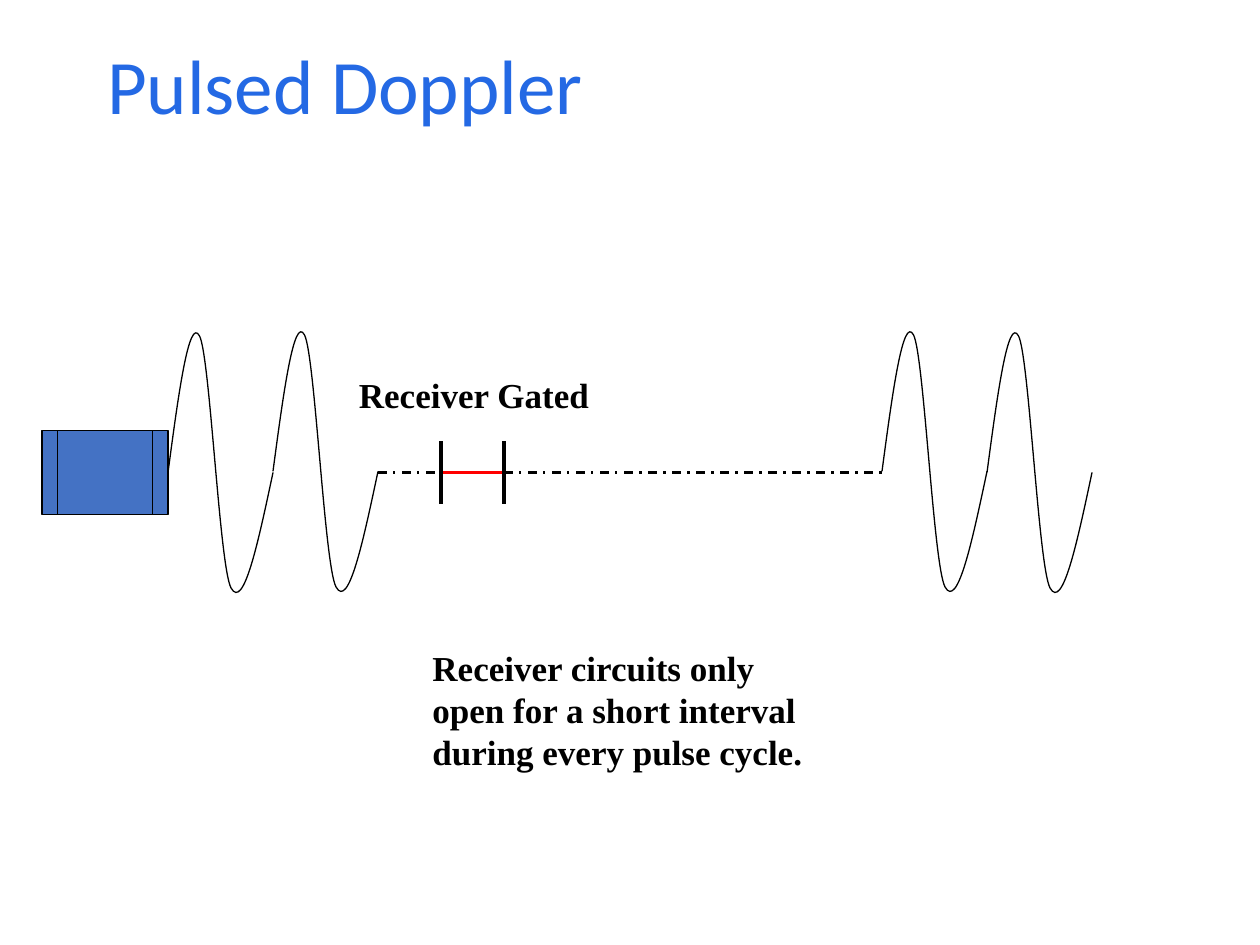
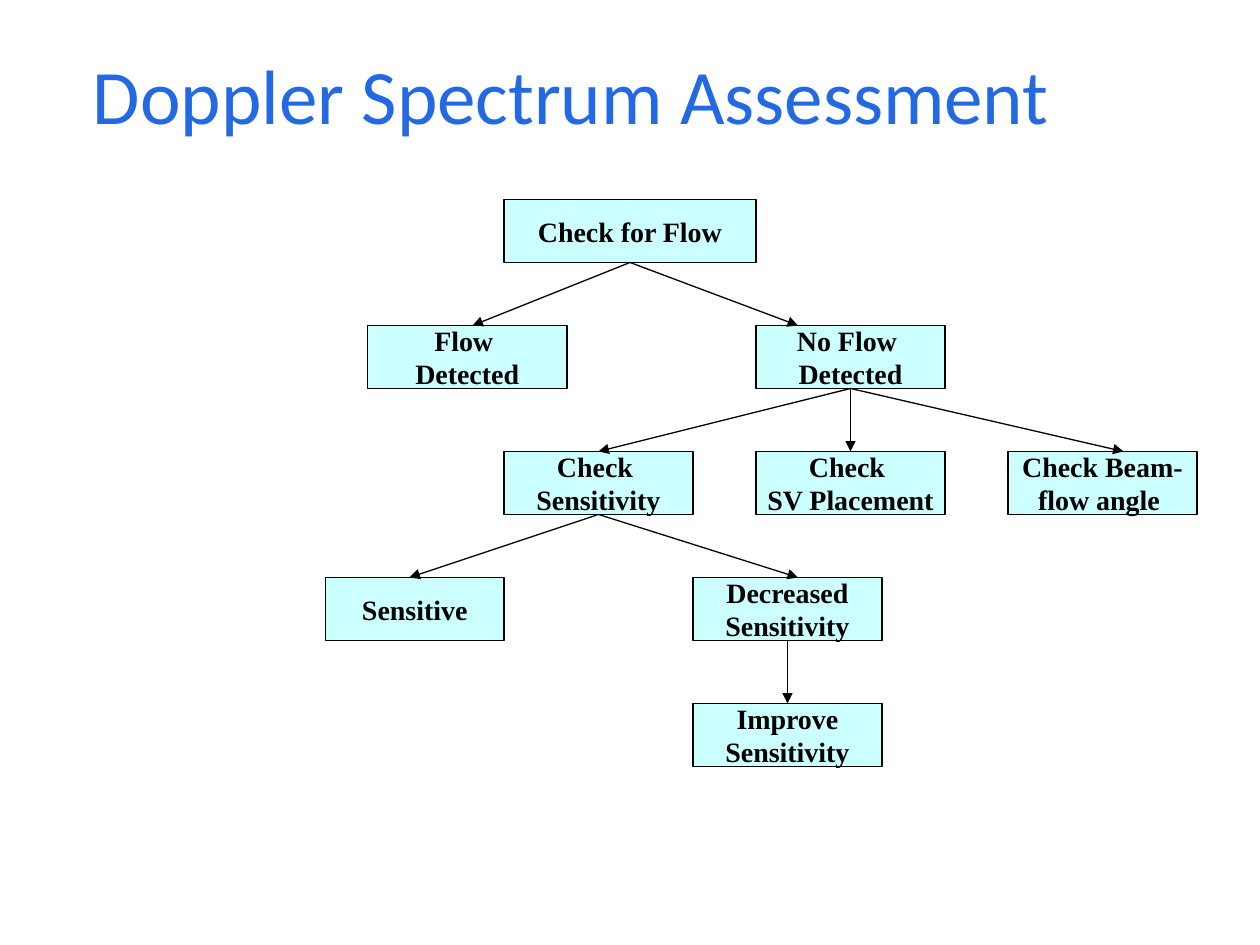
from pptx import Presentation
from pptx.dml.color import RGBColor
from pptx.enum.dml import MSO_LINE
from pptx.enum.shapes import MSO_CONNECTOR, MSO_SHAPE
from pptx.enum.text import MSO_ANCHOR, MSO_AUTO_SIZE, PP_ALIGN
from pptx.oxml.ns import qn
from pptx.util import Inches, Pt
from lxml.etree import SubElement

BLUE = RGBColor(0x24, 0x69, 0xE4)
STEEL = RGBColor(0x44, 0x72, 0xC4)
AQUA = RGBColor(0xCC, 0xFF, 0xFF)
RED = RGBColor(0xFF, 0, 0)
BLACK = RGBColor(0, 0, 0)

deck = Presentation()
deck.slide_width = Inches(10)
deck.slide_height = Inches(7.5)
CELL = deck.slide_width // 120


def style(frame, size, face, tint, bold, align):
    for para in frame.paragraphs:
        para.alignment = align
        for run in para.runs:
            run.font.size = Pt(size)
            run.font.name = face
            run.font.color.rgb = tint
            run.font.bold = bold


def link(slide, ends, width, tint=BLACK):
    line = slide.shapes.add_connector(
        MSO_CONNECTOR.STRAIGHT, *[end * CELL for end in ends])
    line.line.width = Pt(width)
    line.line.color.rgb = tint
    SubElement(line._element.spPr, qn("a:effectLst"))
    return line


slides = []
for text, *area in [("Pulsed Doppler", 9, 2, 105, 13),
                    (" Doppler Spectrum Assessment", 6, 4, 108, 11)]:
    slide = deck.slides.add_slide(deck.slide_layouts[5])
    title = slide.shapes.title
    title.left, title.top, title.width, title.height = [n * CELL for n in area]
    frame = title.text_frame
    frame.text = text
    frame.vertical_anchor = MSO_ANCHOR.MIDDLE
    frame.paragraphs[0].line_spacing = 0.9
    style(frame, 44, "Calibri", BLUE, False, PP_ALIGN.LEFT)
    slides.append(slide)
pulse, tree = slides

probe = pulse.shapes.add_shape(
    MSO_SHAPE.FLOWCHART_PREDEFINED_PROCESS, 4 * CELL, 41 * CELL, 12 * CELL, 8 * CELL)
probe.shadow.inherit = False
probe.fill.solid()
probe.fill.fore_color.rgb = STEEL
probe.line.color.rgb = BLACK
probe.line.width = Pt(0.75)

CURVE = [(1, -7.5), (2, -14.9), (3, -13), (4, -11.1), (4.9, 8.9),
         (6, 11), (7.2, 13.2), (8.6, 6.6), (10, 0)]

for col, row in [(16, 45), (26, 44.9), (84, 44.9), (94, 45)]:
    pen = pulse.shapes.build_freeform(col * CELL, round(row * CELL))
    pen.add_line_segments([(round((col + x) * CELL), round((row + y) * CELL))
                           for x, y in CURVE], close=False)
    wave = pen.convert_to_shape()
    wave.shadow.inherit = False
    wave.fill.background()
    wave.line.color.rgb = BLACK
    wave.line.width = Pt(0.75)
    trace = next(wave._element.iter(qn("a:path")))
    knots = trace.findall(qn("a:lnTo"))
    for k in range(0, len(knots), 3):
        bend = SubElement(trace, qn("a:cubicBezTo"))
        for knot in knots[k:k + 3]:
            bend.append(knot[0])
            trace.remove(knot)

for left, right in [(48, 84), (36, 42)]:
    link(pulse, (left, 45, right, 45), 1.25).line.dash_style = MSO_LINE.DASH_DOT
link(pulse, (42, 45, 48, 45), 2, RED)
for col in (42, 48):
    link(pulse, (col, 42, col, 48), 2)

for text, wrap, *area in [
        ("Receiver Gated", False, 33, 35, 24.4, 5.2),
        ("Receiver circuits only open for a short interval during every pulse cycle.",
         True, 40, 61, 40, 13.2)]:
    frame = pulse.shapes.add_textbox(*[round(n * CELL) for n in area]).text_frame
    frame.text = text
    frame.word_wrap = wrap
    frame.auto_size = MSO_AUTO_SIZE.SHAPE_TO_FIT_TEXT
    style(frame, 20, "Times New Roman", BLACK, True, PP_ALIGN.LEFT)

TOP, STEP, HIGH = 19, 12, 6
nodes = {}
for key, text, col, row, wide in [
        ("flow", "Check for Flow", 48, 0, 24),
        ("found", "Flow \nDetected", 35, 1, 19),
        ("none", "No Flow \nDetected", 72, 1, 18),
        ("sense", "Check \nSensitivity", 48, 2, 18),
        ("place", "Check \nSV Placement", 72, 2, 18),
        ("beam", "Check Beam-\nflow angle ", 96, 2, 18),
        ("good", "Sensitive", 31, 3, 17),
        ("poor", "Decreased\nSensitivity", 66, 3, 18),
        ("mend", "Improve\nSensitivity", 66, 4, 18)]:
    node = tree.shapes.add_shape(
        MSO_SHAPE.FLOWCHART_PROCESS, col * CELL, (TOP + row * STEP) * CELL,
        wide * CELL, HIGH * CELL)
    node.shadow.inherit = False
    node.fill.solid()
    node.fill.fore_color.rgb = AQUA
    node.line.color.rgb = BLACK
    node.line.width = Pt(0.75)
    frame = node.text_frame
    frame.text = text
    frame.word_wrap = False
    frame.vertical_anchor = MSO_ANCHOR.MIDDLE
    style(frame, 16, "Times New Roman", BLACK, True, PP_ALIGN.CENTER)
    nodes[key] = node

for start, end, col, row, mid in [
        ("flow", "found", 45, 1, False), ("flow", "none", 76, 1, False),
        ("none", "sense", 57, 2, True), ("none", "place", 81, 2, True),
        ("none", "beam", 107, 2, False), ("sense", "good", 39, 3, False),
        ("sense", "poor", 76, 3, False), ("poor", "mend", 75, 4, True)]:
    foot = TOP + row * STEP
    arrow = link(tree, (col, foot - HIGH, col, foot), 0.75)
    arrow.begin_connect(nodes[start], 2)
    if mid:
        arrow.end_connect(nodes[end], 0)
    SubElement(arrow.line._get_or_add_ln(), qn("a:tailEnd"), type="triangle")

deck.save("out.pptx")
